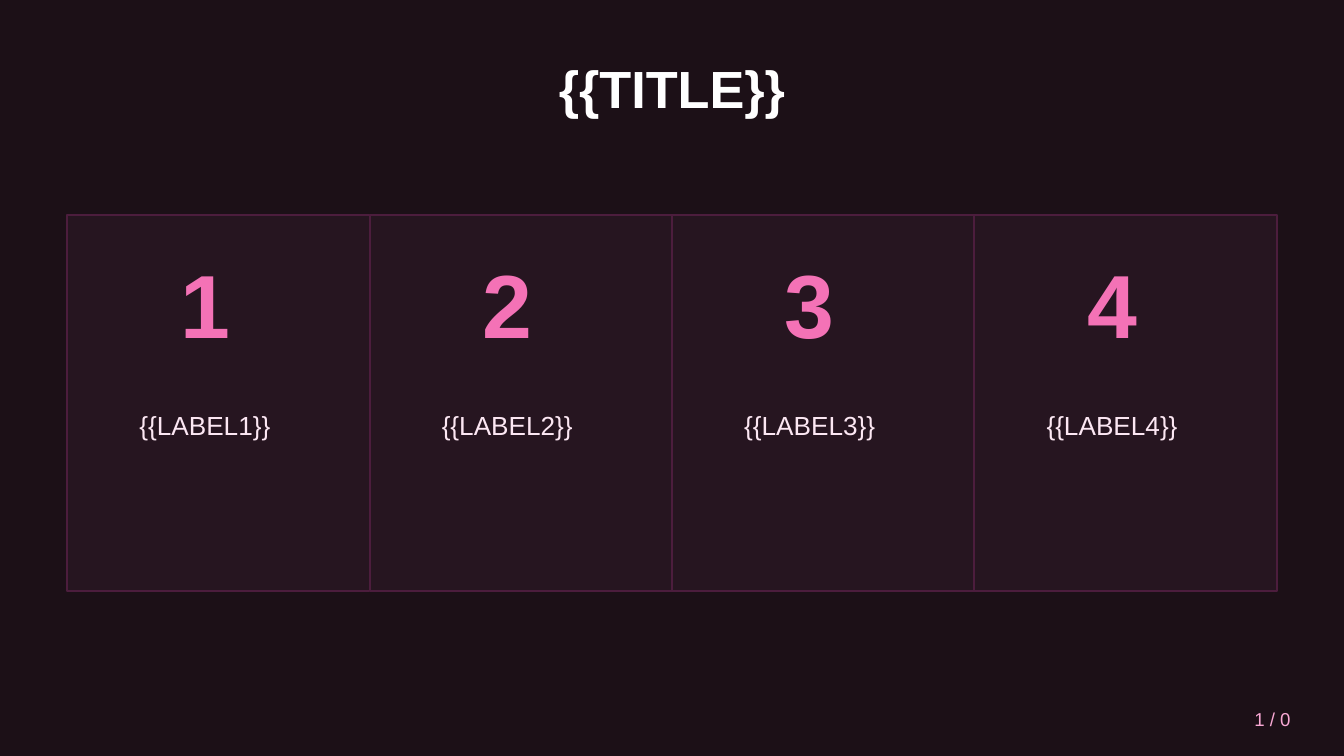
from pptx import Presentation
from pptx import util as u
from pptx.dml import color
from pptx.enum import shapes, text

# Content
TITLE = "{{TITLE}}"
STEPS = [
    ("1", "{{LABEL1}}"),
    ("2", "{{LABEL2}}"),
    ("3", "{{LABEL3}}"),
    ("4", "{{LABEL4}}"),
]
PAGE = "1 / 0"

THEME = {
    "font": "Arial",
    "bg": "1C1017", "card": "261520", "border": "4C1D3D",
    "title": "FFFFFF", "number": "F472B6", "label": "FCE7F3", "page": "F9A8D4",
    "title_size": 28, "number_size": 48, "label_size": 14, "page_size": 10,
}

# Grid, in inches, on a 16:9 slide
W = 10
H = W * 9 / 16
MARGIN = 0.5
COL = (W - 2 * MARGIN) / len(STEPS)
CARD_TOP, CARD_H = 1.6, 2.8
TEXT_W = COL - 0.2


def rgb(name):
    return color.RGBColor.from_string(THEME[name])


def add_text(s, content, x, y, w, h, role, bold=False,
             align=text.PP_ALIGN.CENTER, anchor=text.MSO_ANCHOR.MIDDLE):
    tf = s.shapes.add_textbox(*map(u.Inches, (x, y, w, h))).text_frame
    tf.word_wrap = True
    tf.vertical_anchor = anchor
    p = tf.paragraphs[0]
    p.alignment = align
    r = p.add_run()
    r.text = content
    r.font.name = THEME["font"]
    r.font.size = u.Pt(THEME[role + "_size"])
    r.font.bold = bold
    r.font.color.rgb = rgb(role)


def add_card(s, x):
    sp = s.shapes.add_shape(shapes.MSO_SHAPE.RECTANGLE,
                            *map(u.Inches, (x, CARD_TOP, COL, CARD_H)))
    sp.shadow.inherit = False
    sp.fill.solid()
    sp.fill.fore_color.rgb = rgb("card")
    sp.line.color.rgb = rgb("border")
    sp.line.width = u.Pt(1)


def main():
    prs = Presentation()
    prs.slide_width, prs.slide_height = u.Inches(W), u.Inches(H)
    s = prs.slides.add_slide(prs.slide_layouts[6])
    s.background.fill.solid()
    s.background.fill.fore_color.rgb = rgb("bg")

    # Title
    add_text(s, TITLE, MARGIN, 0.3, W - 2 * MARGIN, 0.7, "title", bold=True)

    # Numbered columns
    for i, (number, label) in enumerate(STEPS):
        x = MARGIN + i * COL
        add_card(s, x)
        add_text(s, number, x, 1.5, TEXT_W, 1.5, "number", bold=True)
        add_text(s, label, x, 3, TEXT_W, 1, "label", anchor=text.MSO_ANCHOR.TOP)

    # Page number
    add_text(s, PAGE, 8.5, 5.2, 1.2, 0.3, "page", align=text.PP_ALIGN.RIGHT)

    prs.save("out.pptx")


if __name__ == "__main__":
    main()
